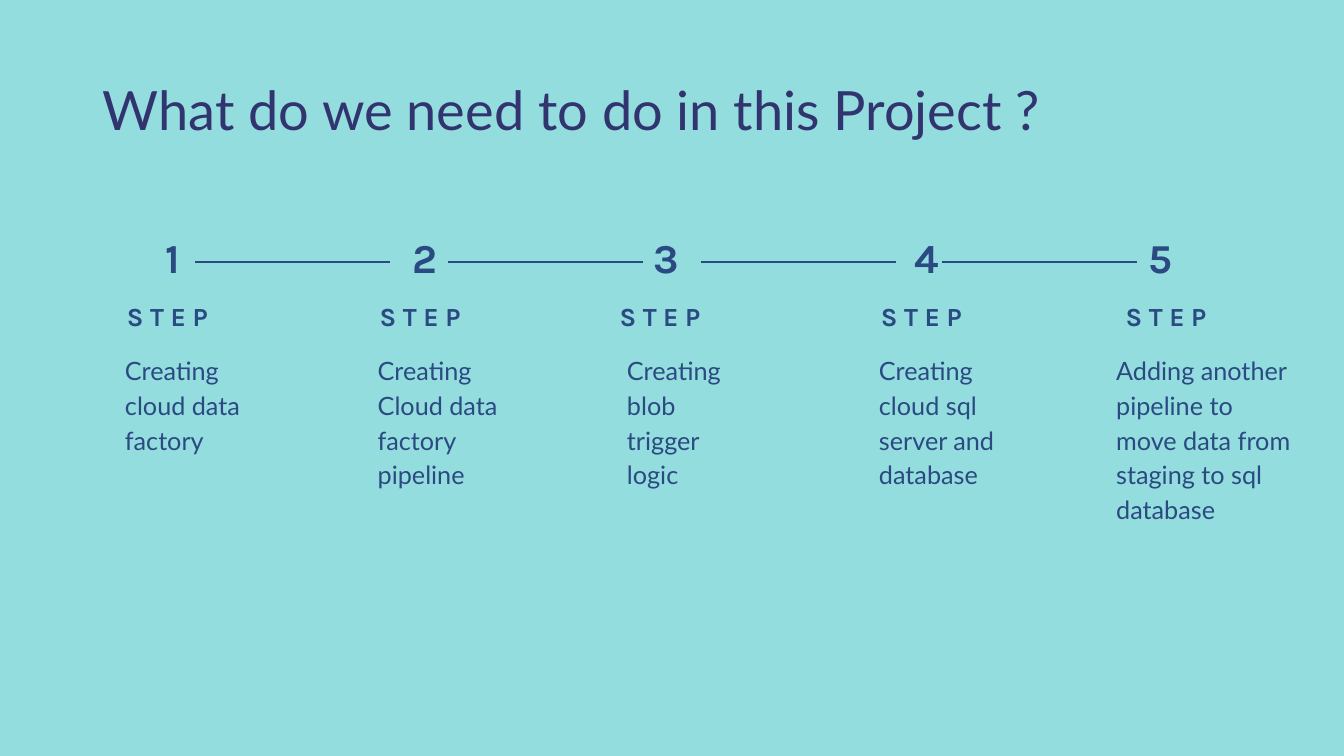
from lxml import etree
from pptx import Presentation
from pptx import util as u
from pptx.dml.color import RGBColor
from pptx.enum import shapes, text
from pptx.oxml import ns

COLORS = {"background": "94DDDE", "title": "31346E", "step": "2A4A81"}
COLUMNS, ROWS = 20, 11.25
LINE_LENGTH = 2.9
LINE_STARTS = (2.9, 6.67, 10.43, 14.02)
STEPS = (
    {"column": 1.88, "number": 0.57, "body": -0.52, "width": 2.42,
     "words": "Creating cloud data factory"},
    {"column": 5.64, "number": 0.49, "body": -0.52, "width": 2.42,
     "words": "Creating Cloud data factory pipeline"},
    {"column": 9.21, "number": 0.51, "body": -0.38, "width": 2.14,
     "words": "Creating blob trigger logic"},
    {"column": 13.1, "number": 0.5, "body": -0.52, "width": 2.41,
     "words": "Creating cloud sql server and database"},
    {"column": 16.74, "number": 0.34, "body": -0.63, "width": 3.13,
     "words": "Adding another pipeline to move data from staging to sql database"},
)


def color(name):
    return RGBColor.from_string(COLORS[name])


def grid(*lengths):
    return [u.Inches(length) for length in lengths]


def write(shape, words, *, size, font="Lato", fill="step", bold=False, spacing=1.0, indent=0):
    frame = shape.text_frame
    frame.word_wrap = True
    frame.auto_size = text.MSO_AUTO_SIZE.NONE
    frame.vertical_anchor = text.MSO_ANCHOR.TOP
    frame.margin_left, frame.margin_top = grid(indent, 0.01)
    frame.margin_right = frame.margin_bottom = 0
    paragraph = frame.paragraphs[0]
    paragraph.alignment = text.PP_ALIGN.LEFT
    paragraph.line_spacing = spacing
    run = paragraph.add_run()
    run.text = words
    run.font.name = font
    run.font.size = u.Pt(size)
    run.font.bold = bold
    run.font.color.rgb = color(fill)


def add_title(slide, box, words):
    title = slide.shapes.title
    title.left, title.top, title.width, title.height = grid(*box)
    write(title, words, size=58, fill="title", spacing=1.2)


def add_step(slide, box, index, step):
    left, top, width, height = box
    add_text = slide.shapes.add_textbox
    number = add_text(*grid(left + step["number"], top, 0.38, 0.76))
    write(number, str(index), size=44, font="Karla", bold=True, indent=0.01)
    label = add_text(*grid(left, top + 1.01, width, 0.49))
    write(label, "S T E P", size=28, font="Karla", bold=True, indent=0.01)
    body = add_text(*grid(left + step["body"], top + 1.76, step["width"], height - 1.76))
    write(body, step["words"], size=27, spacing=1.15, indent=0.5)


def add_line(slide, left, top, length):
    line = slide.shapes.add_connector(
        shapes.MSO_CONNECTOR.STRAIGHT, *grid(left, top, left + length, top))
    line.line.color.rgb = color("step")
    line.line.width = u.Pt(2.25)
    etree.SubElement(line._element.spPr, ns.qn("a:effectLst"))


def add_timeline(slide, top, height):
    for index, step in enumerate(STEPS, start=1):
        add_step(slide, (step["column"], top, 1.57, height), index, step)
    for left in LINE_STARTS:
        add_line(slide, left, top + 0.45, LINE_LENGTH)


def main():
    presentation = Presentation()
    presentation.slide_width, presentation.slide_height = grid(COLUMNS, ROWS)
    slide = presentation.slides.add_slide(presentation.slide_layouts.get_by_name("Title Only"))
    background = slide.background.fill
    background.solid()
    background.fore_color.rgb = color("background")
    add_title(slide, (1.53, 0.93, 14.24, 1.5), "What do we need to do in this Project ?")
    add_timeline(slide, 3.45, 4.83)
    presentation.save("out.pptx")


if __name__ == "__main__":
    main()
